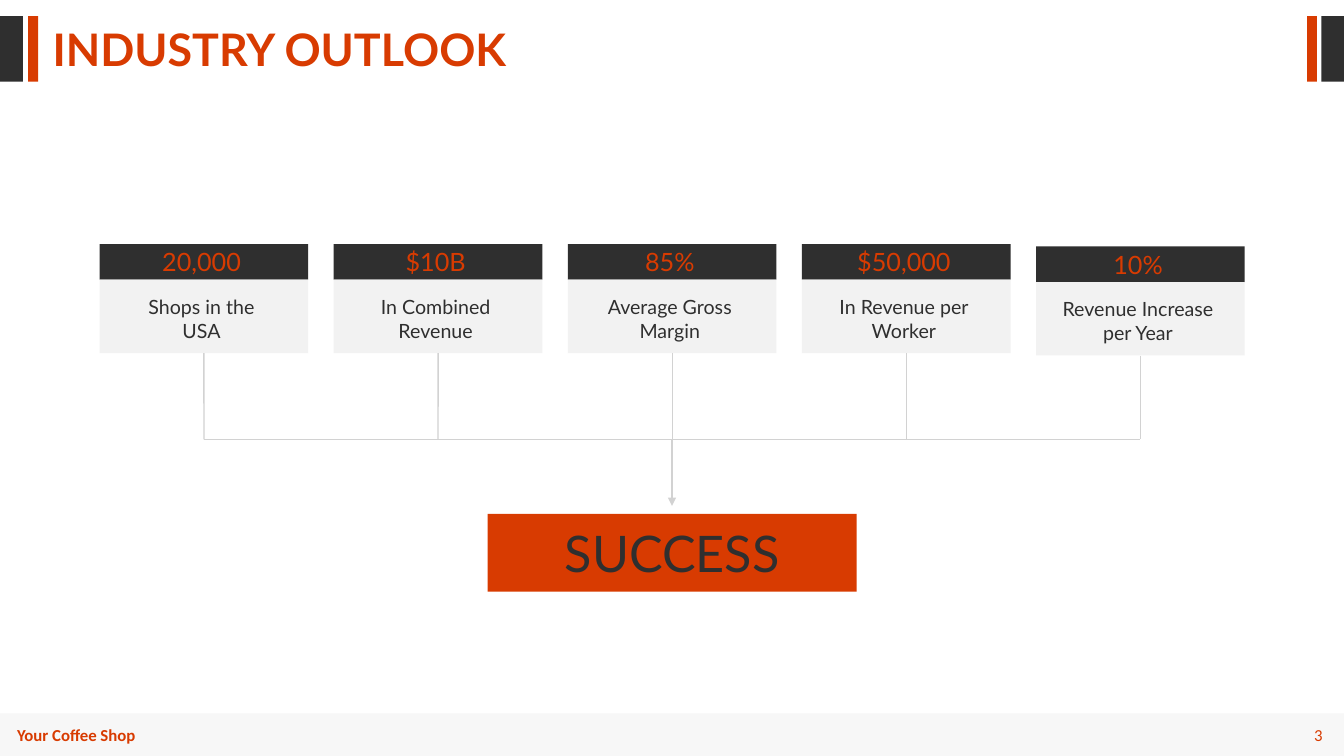
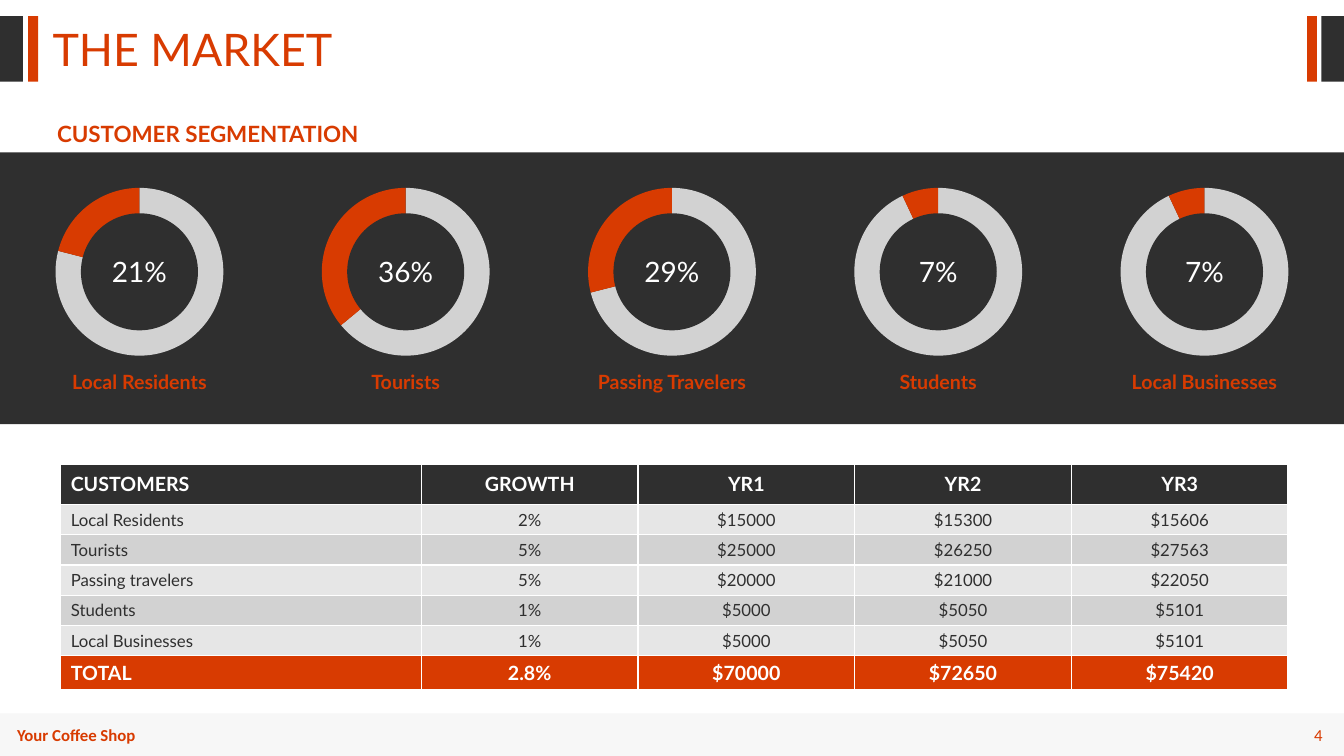
"""Build the industry outlook and market slides of a coffee shop plan."""
import dataclasses

import lxml.etree
import pptx
import pptx.chart.data
import pptx.dml.color
import pptx.enum.chart
import pptx.enum.shapes
import pptx.enum.text
import pptx.oxml.ns
import pptx.util

Cm = pptx.util.Cm
Pt = pptx.util.Pt
qn = pptx.oxml.ns.qn
ALIGN = pptx.enum.text.PP_ALIGN
ANCHOR = pptx.enum.text.MSO_ANCHOR
SHAPE = pptx.enum.shapes.MSO_SHAPE

COLORS = {
    "dark": "2F2F2F",
    "accent": "D83B01",
    "white": "FFFFFF",
    "panel": "F2F2F2",
    "footer": "F7F7F7",
    "light": "E6E6E6",
    "gray": "D2D2D2",
}
SLIDE_W, SLIDE_H = 33.87, 19.05
TEXT_FONT, FOOTER_FONT = "Lato", "Calibri"


@dataclasses.dataclass
class Bar:
    left: float
    width: float
    color: str


@dataclasses.dataclass
class Card:
    figure: str
    caption: str
    caption_w: float = 3.5
    drop: float = 0


@dataclasses.dataclass
class Segment:
    name: str
    share: int


BARS = [
    Bar(0, 0.58, "dark"),
    Bar(0.71, 0.25, "accent"),
    Bar(32.94, 0.25, "accent"),
    Bar(33.3, 0.57, "dark"),
]
CARDS = [
    Card("20,000", "Shops in the USA"),
    Card("$10B", "In Combined Revenue"),
    Card("85%", "Average Gross Margin"),
    Card("$50,000", "In Revenue per Worker"),
    Card("10%", "Revenue Increase per Year", 4.1, 0.06),
]
SEGMENTS = [
    Segment("Local Residents", 21),
    Segment("Tourists", 36),
    Segment("Passing Travelers", 29),
    Segment("Students", 7),
    Segment("Local Businesses", 7),
]
CUSTOMERS = [
    ["CUSTOMERS", "GROWTH", "YR1", "YR2", "YR3"],
    ["Local Residents", "2%", "$15000", "$15300", "$15606"],
    ["Tourists", "5%", "$25000", "$26250", "$27563"],
    ["Passing travelers", "5%", "$20000", "$21000", "$22050"],
    ["Students", "1%", "$5000", "$5050", "$5101"],
    ["Local Businesses", "1%", "$5000", "$5050", "$5101"],
    ["TOTAL", "2.8%", "$70000", "$72650", "$75420"],
]


def rgb(color: str) -> pptx.dml.color.RGBColor:
    return pptx.dml.color.RGBColor.from_string(COLORS[color])


def put_text(tf, text: str, *, size: float, color: str = "accent", bold: bool = False,
             align=ALIGN.LEFT, font: str = TEXT_FONT, anchor=None, spacing=None) -> None:
    tf.word_wrap = True
    if anchor is not None:
        tf.vertical_anchor = anchor
    p = tf.paragraphs[0]
    p.alignment = align
    if spacing is not None:
        p.line_spacing = spacing
    r = p.add_run()
    r.text = text
    r.font.name = font
    r.font.size = Pt(size)
    r.font.bold = bold
    r.font.color.rgb = rgb(color)


def add_block(s, left: float, top: float, width: float, height: float, color: str,
              kind=SHAPE.RECTANGLE):
    sp = s.shapes.add_shape(kind, Cm(left), Cm(top), Cm(width), Cm(height))
    sp.shadow.inherit = False
    sp.fill.solid()
    sp.fill.fore_color.rgb = rgb(color)
    sp.line.fill.background()
    return sp


def add_label(s, text: str, left: float, top: float, width: float, height: float,
              **fmt) -> None:
    sp = s.shapes.add_textbox(Cm(left), Cm(top), Cm(width), Cm(height))
    put_text(sp.text_frame, text, **fmt)


def add_line(s, x1: float, y1: float, x2: float, y2: float, arrow: bool = False):
    sp = s.shapes.add_connector(pptx.enum.shapes.MSO_CONNECTOR.STRAIGHT,
                                Cm(x1), Cm(y1), Cm(x2), Cm(y2))
    sp.line.color.rgb = rgb("gray")
    sp.line.width = Pt(1)
    if arrow:
        ln = sp._element.spPr.find(qn("a:ln"))
        lxml.etree.SubElement(ln, qn("a:tailEnd"), type="triangle")
    lxml.etree.SubElement(sp._element.spPr, qn("a:effectLst"))
    return sp


def add_slide(prs, title: str, number: int, bold: bool = False):
    s = prs.slides.add_slide(prs.slide_layouts[5])
    for bar in BARS:
        add_block(s, bar.left, 0.41, bar.width, 1.65, bar.color)
    add_block(s, 0, 17.98, SLIDE_W, SLIDE_H - 17.98, "footer")
    add_label(s, "Your Coffee Shop", 0.18, 18.14, 4.67, 0.76, size=12, bold=True,
              font=FOOTER_FONT)
    add_label(s, str(number), 31.37, 18.14, 2.21, 0.76, size=12, align=ALIGN.RIGHT,
              font=FOOTER_FONT, anchor=ANCHOR.MIDDLE)
    sp = s.shapes.title
    sp.left, sp.top, sp.width, sp.height = Cm(1.07), Cm(0.69), Cm(16.94), Cm(1.37)
    put_text(sp.text_frame, title, size=32, bold=bold, anchor=ANCHOR.TOP, spacing=0.8)
    return s


def add_card(s, card: Card, left: float):
    width, top, nudge = 5.26, 6.15 + card.drop, 0.06
    head = add_block(s, left, top, width, 0.9, "dark")
    tf = head.text_frame
    tf.margin_left, tf.margin_right = Cm(0), Cm(2 * nudge)
    tf.margin_top = tf.margin_bottom = Cm(0)
    put_text(tf, card.figure, size=18, align=ALIGN.CENTER, anchor=ANCHOR.MIDDLE)
    body = add_block(s, left, top + 0.9, width, 1.85, "panel")
    side = (width - card.caption_w) / 2
    tf = body.text_frame
    tf.margin_left, tf.margin_right = Cm(side - nudge), Cm(side + nudge)
    tf.margin_top, tf.margin_bottom = Cm(0.1), Cm(0)
    put_text(tf, card.caption, size=14, color="dark", align=ALIGN.CENTER,
             anchor=ANCHOR.MIDDLE)
    return body


def add_ring(s, segment: Segment, center: float) -> None:
    width, height, ring, hole, top = 4.93, 6.02, 4.23, 2.95, 3.84
    data = pptx.chart.data.CategoryChartData()
    data.categories = ["1", "2"]
    data.add_series("Series 1", [100 - segment.share, segment.share])
    chart = s.shapes.add_chart(pptx.enum.chart.XL_CHART_TYPE.PIE, Cm(center - width / 2),
                               Cm(top), Cm(width), Cm(height), data).chart
    chart.has_legend = chart.has_title = False
    chart.font.name, chart.font.size = FOOTER_FONT, Pt(10)
    plot = chart.plots[0]
    plot.vary_by_categories = False
    for i, color in enumerate(["gray", "accent"]):
        fmt = plot.series[0].points[i].format
        fmt.fill.solid()
        fmt.fill.fore_color.rgb = rgb(color)
        fmt.line.fill.background()
    area = chart._chartSpace.chart.plotArea
    for old in area.findall(qn("c:layout")):
        area.remove(old)
    layout = lxml.etree.Element(qn("c:layout"))
    manual = lxml.etree.SubElement(layout, qn("c:manualLayout"))
    w, h = ring / width, ring / height
    for tag, val in [("layoutTarget", "inner"), ("xMode", "edge"), ("yMode", "edge"),
                     ("x", (1 - w) / 2), ("y", (1 - h) / 2), ("w", w), ("h", h)]:
        lxml.etree.SubElement(manual, qn("c:" + tag), val=str(val))
    area.insert(0, layout)

    sp = add_block(s, center - hole / 2, top + (height - hole) / 2, hole, hole, "dark",
                   SHAPE.OVAL)
    sp.text_frame.margin_left = sp.text_frame.margin_right = Cm(0)
    put_text(sp.text_frame, f"{segment.share}%", size=20, color="white",
             align=ALIGN.CENTER, anchor=ANCHOR.MIDDLE)
    add_label(s, segment.name, center - 2.6, 9.19, 5.2, 0.86, size=14, bold=True,
              align=ALIGN.CENTER)


def add_customer_table(s) -> None:
    widths = [9.09] + [5.46] * 4
    heights = [1.02] + [0.76] * 5 + [0.82]
    tbl = s.shapes.add_table(len(heights), len(widths), Cm(1.53), Cm(11.69),
                             Cm(sum(widths)), Cm(sum(heights))).table
    tbl.horz_banding = False
    for col, width in zip(tbl.columns, widths):
        col.width = Cm(width)
    last = len(CUSTOMERS) - 1
    for i, (row, height) in enumerate(zip(CUSTOMERS, heights)):
        tbl.rows[i].height = Cm(height)
        strong = i in (0, last)
        fill = {0: "dark", last: "accent"}.get(i, "light" if i % 2 else "gray")
        for j, text in enumerate(row):
            cell = tbl.cell(i, j)
            cell.fill.solid()
            cell.fill.fore_color.rgb = rgb(fill)
            cell.vertical_anchor = ANCHOR.MIDDLE
            put_text(cell.text_frame, text, size=14 if strong else 12, bold=strong,
                     color="white" if strong else "dark",
                     align=ALIGN.CENTER if j else ALIGN.LEFT)


def build_outlook(prs) -> None:
    s = add_slide(prs, "INDUSTRY OUTLOOK", 3, bold=True)
    first, pitch, half, bus = 2.51, 5.9, 2.63, 11.07
    centers = [first + half + i * pitch for i in range(len(CARDS))]
    for card, x in zip(CARDS, centers):
        body = add_card(s, card, x - half)
        add_line(s, x, 8.9, x, bus).begin_connect(body, 2)
    add_line(s, centers[0], bus, centers[-1], bus)
    add_line(s, SLIDE_W / 2, bus, SLIDE_W / 2, 12.75, arrow=True)
    sp = add_block(s, 12.29, 12.95, 9.3, 1.96, "accent")
    put_text(sp.text_frame, "SUCCESS", size=36, color="dark", align=ALIGN.CENTER,
             anchor=ANCHOR.MIDDLE)


def build_market(prs) -> None:
    s = add_slide(prs, "THE MARKET", 4)
    add_block(s, 0, 3.84, SLIDE_W, 6.85, "dark")
    for i, segment in enumerate(SEGMENTS):
        add_ring(s, segment, SLIDE_W / 2 + (i - 2) * 6.71)
    add_customer_table(s)
    add_label(s, "CUSTOMER SEGMENTATION", 1.19, 2.9, 9.96, 0.94, size=16, bold=True)


def main() -> None:
    prs = pptx.Presentation()
    prs.slide_width, prs.slide_height = Cm(SLIDE_W), Cm(SLIDE_H)
    build_outlook(prs)
    build_market(prs)
    prs.save("out.pptx")


if __name__ == "__main__":
    main()
